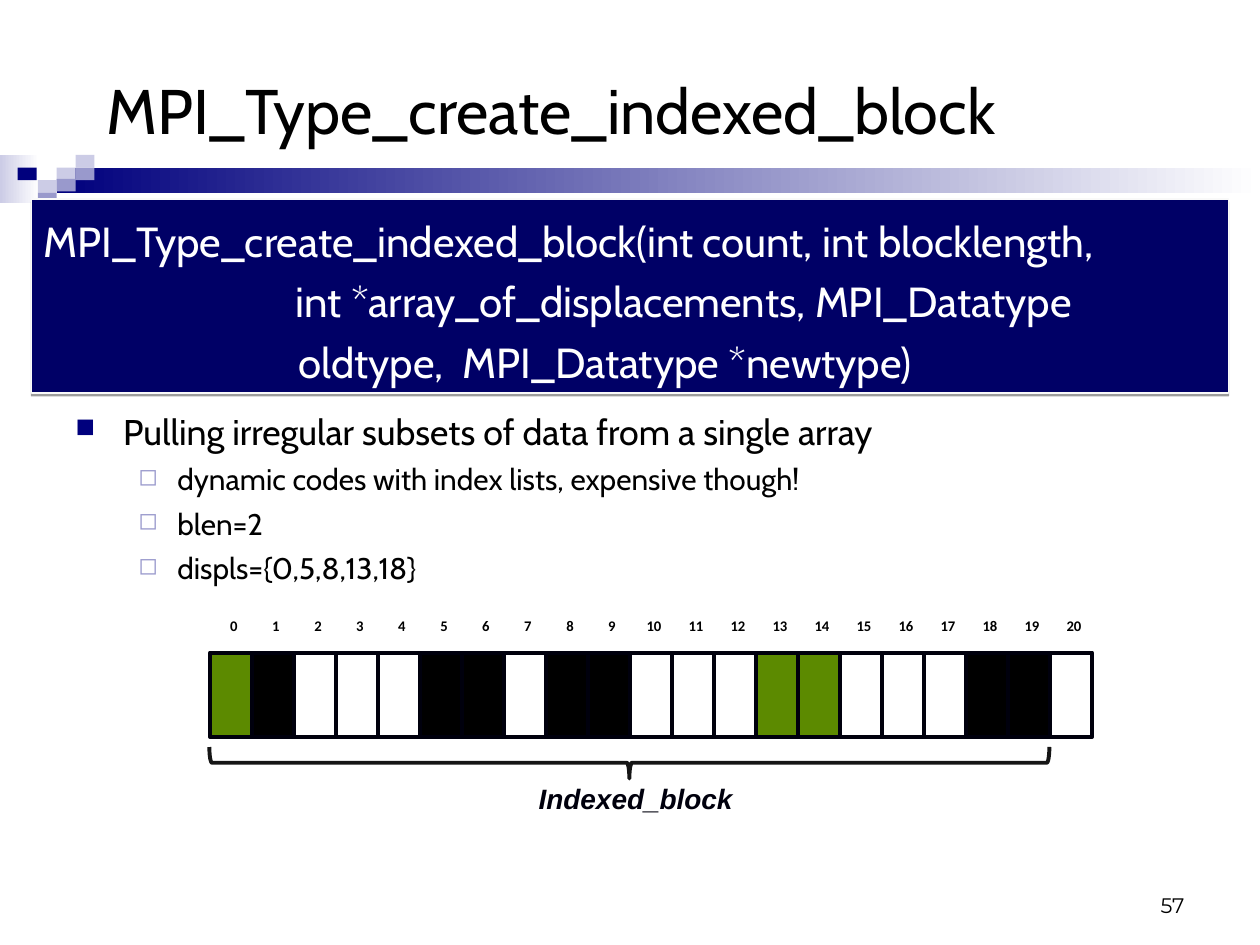
import lxml.etree
import pptx
import pptx.dml.color
import pptx.enum.shapes
import pptx.enum.text
import pptx.oxml.ns
import pptx.util
from dataclasses import dataclass

Inches = pptx.util.Inches
Pt = pptx.util.Pt
Shape = pptx.enum.shapes.MSO_SHAPE
Align = pptx.enum.text.PP_ALIGN
Anchor = pptx.enum.text.MSO_ANCHOR
qn = pptx.oxml.ns.qn


@dataclass(frozen=True)
class Theme:
    font: str = "Cabin"
    label_font: str = "Calibri"
    caption_font: str = "Arial"
    number_font: str = "Montserrat"
    black: str = "000000"
    white: str = "FFFFFF"
    navy: str = "00007D"
    lilac: str = "9999CC"
    pale: str = "CCCCE6"
    panel: str = "000066"
    panel_line: str = "F9F9F9"
    ink: str = "00000D"
    brace: str = "151515"
    green: str = "5C8A00"
    title_size: float = 36
    code_size: float = 24
    point_size: float = 20.4
    subpoint_size: float = 17
    label_size: float = 8.4
    caption_size: float = 16
    number_size: float = 12
    heavy_line: float = 2.25


THEME = Theme()

TITLE = "MPI_Type_create_indexed_block"
PAGE_NUMBER = "57"
CAPTION = "Indexed_block"
# (text, left indent in inches)
SIGNATURE = [
    ("MPI_Type_create_indexed_block(int count, int blocklength,", 0),
    ("int *array_of_displacements, MPI_Datatype", 2),
    ("oldtype,  MPI_Datatype *newtype)", 2.02),
]
# (text, level)
POINTS = [
    ("Pulling irregular subsets of data from a single array", 0),
    ("dynamic codes with index lists, expensive though!", 1),
    ("blen=2", 1),
    ("displs={0,5,8,13,18}", 1),
]
# size, left margin, hanging indent, space before, bullet, its colour, its percentage
LEVELS = [
    (THEME.point_size, 0.38, -0.38, 6, "■", THEME.navy, 75),
    (THEME.subpoint_size, 0.81, -0.31, 5, "◻", THEME.lilac, 80),
]
CELL_COUNT = 21
BLOCK_LENGTH = 2
DISPLACEMENTS = [0, 5, 8, 13, 18]
GREEN_CELLS = {0, 13, 14}
CELL_WIDTH = 1 / 3
ARRAY_LEFT = 5 * CELL_WIDTH

# left, top, width, height, colour, optional end colour of a gradient
DECORATION = [
    (0, 1.23, 0.31, 0.38, THEME.pale, THEME.white),
    (0.45, 1.33, 9.55, 0.2, THEME.navy, THEME.white),
] + [
    (left, top, 0.15, 0.1, colour, None)
    for left, top, colour in [
        (0.45, 1.33, THEME.pale), (0.6, 1.23, THEME.pale), (0.6, 1.33, THEME.lilac),
        (0.3, 1.43, THEME.pale), (0.14, 1.33, THEME.navy), (0.45, 1.42, THEME.lilac),
        (0.3, 1.53, THEME.lilac),
    ]
]


def rgb(colour):
    return pptx.dml.color.RGBColor.from_string(colour)


def add_shape(page, area, kind=Shape.RECTANGLE, fill=None, line=None, width=THEME.heavy_line):
    shape = page.shapes.add_shape(kind, *map(Inches, area))
    shape.shadow.inherit = False
    if fill:
        shape.fill.solid()
        shape.fill.fore_color.rgb = rgb(fill)
    else:
        shape.fill.background()
    if line:
        shape.line.color.rgb = rgb(line)
        shape.line.width = Pt(width)
    else:
        shape.line.fill.background()
    return shape


def style(para, size, font, colour, align=Align.LEFT, bold=False, italic=False):
    para.alignment = align
    for span in para.runs:
        span.font.size = Pt(size)
        span.font.name = font
        span.font.color.rgb = rgb(colour)
        span.font.bold = bold
        span.font.italic = italic


def add_text(page, area, text, *look, anchor=Anchor.TOP, **options):
    box = page.shapes.add_textbox(*map(Inches, area))
    box.text_frame.word_wrap = True
    box.text_frame.vertical_anchor = anchor
    box.text_frame.text = text
    style(box.text_frame.paragraphs[0], *look, **options)


def add_child(parent, tag, **attributes):
    return lxml.etree.SubElement(parent, qn(tag), attributes)


def set_indent(para, left, first=0):
    properties = para._p.get_or_add_pPr()
    properties.set("marL", str(Inches(left)))
    properties.set("indent", str(Inches(first)))
    return properties


def add_decoration(page):
    for *area, colour, end_colour in DECORATION:
        shape = add_shape(page, area, fill=colour)
        if end_colour:
            shape.fill.gradient()
            shape.fill.gradient_angle = 0
            for stop, stop_colour in zip(shape.fill.gradient_stops, (colour, end_colour)):
                stop.color.rgb = rgb(stop_colour)


def add_points(page):
    box = page.shapes.add_textbox(*map(Inches, (0.5, 3.2, 9, 1.5)))
    frame = box.text_frame
    frame.word_wrap = True
    frame.text = "\n".join(text for text, _ in POINTS)
    for index, (para, (_, level)) in enumerate(zip(frame.paragraphs, POINTS)):
        size, left, first, before, bullet, colour, percent = LEVELS[level]
        para.level = level
        if index:
            para.space_before = Pt(before)
        properties = set_indent(para, left, first)
        add_child(add_child(properties, "a:buClr"), "a:srgbClr", val=colour)
        add_child(properties, "a:buSzPct", val=str(percent * 1000))
        add_child(properties, "a:buChar", char=bullet)
        style(para, size, THEME.font, THEME.black)


def add_signature(page):
    panel = add_shape(page, (0.25, 1.58, 9.5, 1.54), fill=THEME.panel,
                      line=THEME.panel_line, width=0.75)
    effects = panel._element.spPr.find(qn("a:effectLst"))
    shadow = add_child(effects, "a:outerShdw", blurRad="0", dist=str(Pt(1.6)),
                       dir="5400000", rotWithShape="0")
    shade = add_child(shadow, "a:srgbClr", val=THEME.black)
    add_child(shade, "a:alpha", val="38000")
    frame = panel.text_frame
    frame.word_wrap = True
    frame.vertical_anchor = Anchor.TOP
    frame.text = "\n".join(text for text, _ in SIGNATURE)
    for para, (_, indent) in zip(frame.paragraphs, SIGNATURE):
        set_indent(para, indent)
        para.line_spacing = 1.2
        style(para, THEME.code_size, THEME.font, THEME.white)


def add_array(page):
    used = {start + step for start in DISPLACEMENTS for step in range(BLOCK_LENGTH)}
    for index in range(CELL_COUNT):
        left = ARRAY_LEFT + index * CELL_WIDTH
        fill = THEME.green if index in GREEN_CELLS else THEME.black if index in used else None
        add_shape(page, (left, 5.18, CELL_WIDTH, 0.67), fill=fill, line=THEME.ink)
        label = add_shape(page, (left, 4.85, 0.38, 0.25), line=THEME.white)
        label.text_frame.text = str(index)
        para = label.text_frame.paragraphs[0]
        para.line_spacing = 0.8
        style(para, THEME.label_size, THEME.label_font, THEME.black, Align.CENTER, bold=True)
    brace = add_shape(page, (4.87, 2.72, 0.25, 20 * CELL_WIDTH), Shape.LEFT_BRACE,
                      line=THEME.brace)
    brace.rotation = 270


def main():
    deck = pptx.Presentation()
    deck.slide_width, deck.slide_height = Inches(10), Inches(7.5)
    page = deck.slides.add_slide(deck.slide_layouts[6])
    add_decoration(page)
    add_text(page, (0.75, 0.42, 8.42, 0.89), TITLE, THEME.title_size, THEME.font,
             THEME.black, anchor=Anchor.MIDDLE)
    add_points(page)
    add_signature(page)
    add_text(page, (7.17, 6.83, 2.33, 0.5), PAGE_NUMBER, THEME.number_size,
             THEME.number_font, THEME.black, Align.RIGHT, anchor=Anchor.BOTTOM)
    add_array(page)
    add_text(page, (4.17, 6.15, 1.75, 0.37), CAPTION, THEME.caption_size,
             THEME.caption_font, THEME.ink, Align.CENTER, bold=True, italic=True)
    deck.save("out.pptx")


if __name__ == "__main__":
    main()
